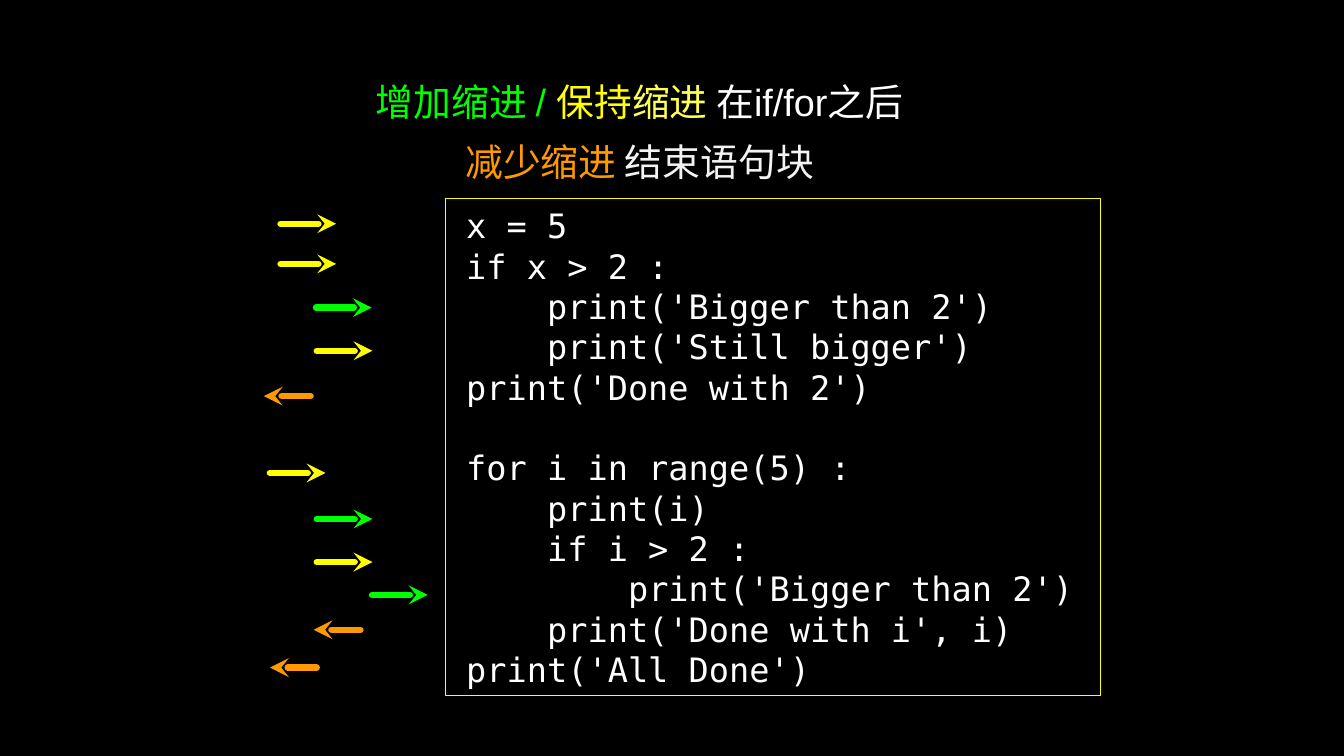
from lxml.etree import SubElement
from pptx import Presentation
from pptx.dml.color import RGBColor
from pptx.enum.shapes import MSO_CONNECTOR, MSO_SHAPE
from pptx.enum.text import MSO_ANCHOR, PP_ALIGN
from pptx.oxml.ns import qn
from pptx.util import Pt

BLACK, WHITE, YELLOW, GREEN, ORANGE = "000000", "FFFFFF", "FFFF00", "00FF00", "FF9900"
CODE_SIZE, CODE_PITCH, CHAR_WIDTH = 32, 38.4, 19.27

HEADING = [
    [("增加缩进 / ", GREEN), ("保持", YELLOW), ("缩进 ", "FEFF54"), ("在if/for之后", WHITE)],
    [("减少缩进 ", ORANGE), ("结束语句块", "F3F3F3")],
]
CODE_BLOCKS = [
    [(0, "x = 5"), (0, "if x > 2 :"), (1, "print('Bigger than 2')"),
     (1, "print('Still bigger')"), (0, "print('Done with 2')")],
    [(0, "for i in range(5) :"), (1, "print(i)"), (1, "if i > 2 :"),
     (2, "print('Bigger than 2')"), (1, "print('Done with i', i)"), (0, "print('All Done')")],
]
KEEP, MORE, LESS = (YELLOW, 53), (GREEN, 53), (ORANGE, -44.6)
ARROWS = [
    (KEEP, 267.2, 213.1), (KEEP, 267.2, 251.3), (MORE, 301, 293),
    (KEEP, 301.7, 334.1), (LESS, 295.9, 377.3), (KEEP, 257, 450.4),
    (MORE, 301.7, 494.3), (KEEP, 301.7, 535.3), (MORE, 354.3, 566.6),
    (LESS, 343.4, 599.8), (LESS, 301.7, 635.8),
]


def rgb(value):
    return RGBColor.from_string(value)


def style(r, font, size, color):
    r.font.name = font
    r.font.size = Pt(size)
    r.font.color.rgb = rgb(color)


def text_frame(s, x, y, w, h):
    tf = s.shapes.add_textbox(Pt(x), Pt(y), Pt(w), Pt(h)).text_frame
    tf.word_wrap = True
    tf.vertical_anchor = MSO_ANCHOR.MIDDLE
    tf.margin_left = tf.margin_right = tf.margin_top = tf.margin_bottom = 0
    return tf


def paragraph(tf, i):
    return tf.paragraphs[0] if i == 0 else tf.add_paragraph()


def add_heading(s, x, y, w, h):
    tf = text_frame(s, x, y, w, h)
    for i, parts in enumerate(HEADING):
        p = paragraph(tf, i)
        p.alignment = PP_ALIGN.CENTER
        p.space_before = Pt(14 * i)
        for text, color in parts:
            r = p.add_run()
            r.text = text
            style(r, "Arial", 36, color)


def add_code(s, x, y, w, h):
    sp = s.shapes.add_shape(MSO_SHAPE.RECTANGLE, Pt(x), Pt(y), Pt(w), Pt(h))
    sp.shadow.inherit = False
    sp.fill.background()
    sp.line.color.rgb = rgb(YELLOW)
    sp.line.width = Pt(1)
    tf = text_frame(s, x, y + 8.6, w, h - 17.2)
    i = 0
    for block, lines in enumerate(CODE_BLOCKS):
        for n, (level, text) in enumerate(lines):
            p = paragraph(tf, i)
            p.text = text
            p.line_spacing = Pt(CODE_PITCH)
            p.space_before = Pt(CODE_PITCH if block and n == 0 else 0)
            pPr = p._p.get_or_add_pPr()
            pPr.set("marL", str(Pt(CHAR_WIDTH * (1 + 4 * level))))
            pPr.set("indent", "0")
            style(p.runs[0], "DejaVu Sans Mono", CODE_SIZE, WHITE)
            i += 1


def add_arrow(s, x, y, length, color):
    c = s.shapes.add_connector(MSO_CONNECTOR.STRAIGHT, Pt(x), Pt(y), Pt(x + length), Pt(y))
    c.line.color.rgb = rgb(color)
    c.line.width = Pt(6)
    ln = c.line._get_or_add_ln()
    ln.set("cap", "rnd")
    SubElement(ln, qn("a:tailEnd"), type="stealth")
    SubElement(c._element.spPr, qn("a:effectLst"))


def main():
    prs = Presentation()
    prs.slide_width, prs.slide_height = Pt(1280.16), Pt(720)
    s = prs.slides.add_slide(prs.slide_layouts[6])
    s.background.fill.solid()
    s.background.fill.fore_color.rgb = rgb(BLACK)
    add_code(s, 424.8, 189.4, 623.5, 473)
    add_heading(s, 326.2, 59, 565.9, 131.8)
    for (color, length), x, y in ARROWS:
        add_arrow(s, x, y, length, color)
    prs.save("out.pptx")


if __name__ == "__main__":
    main()
